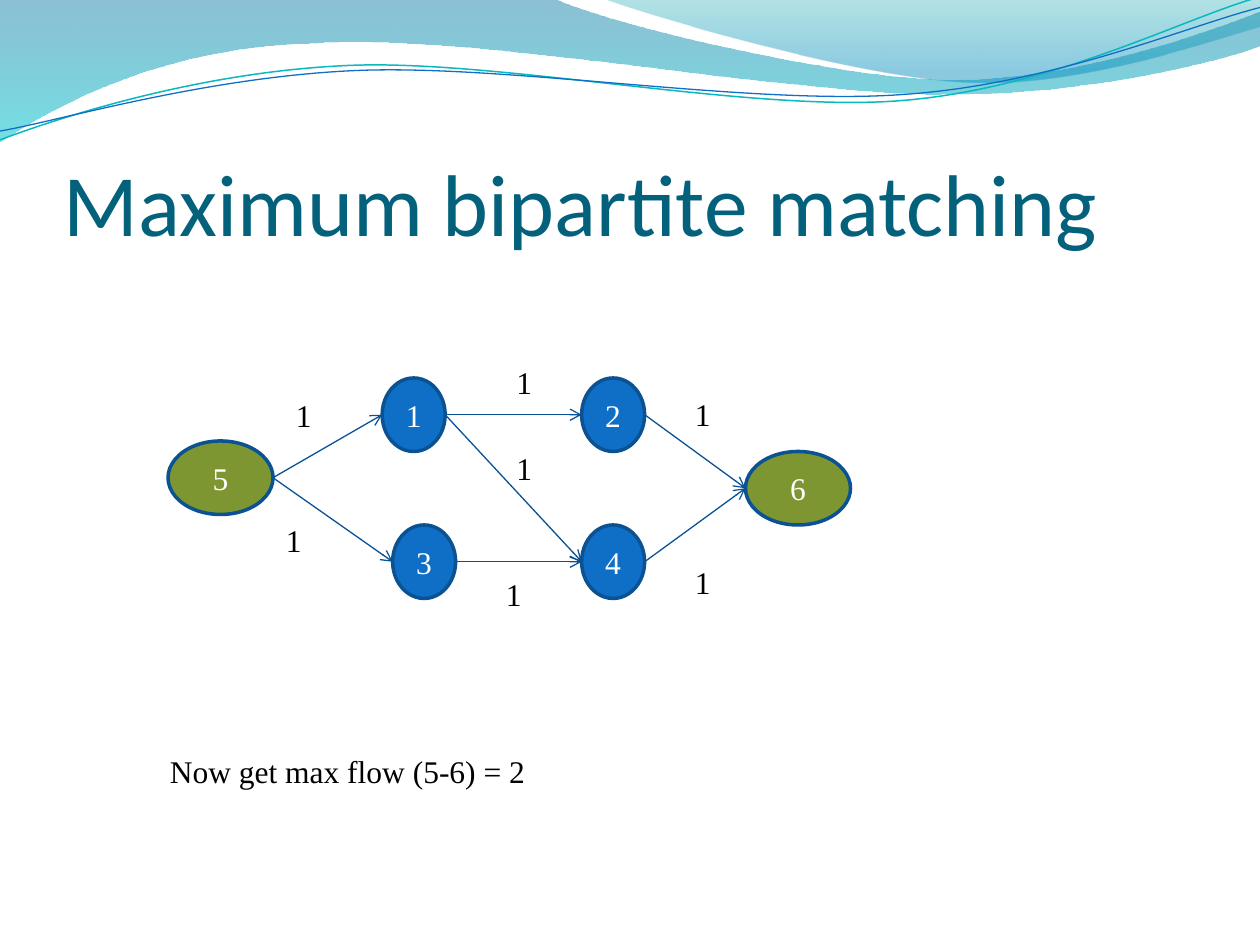
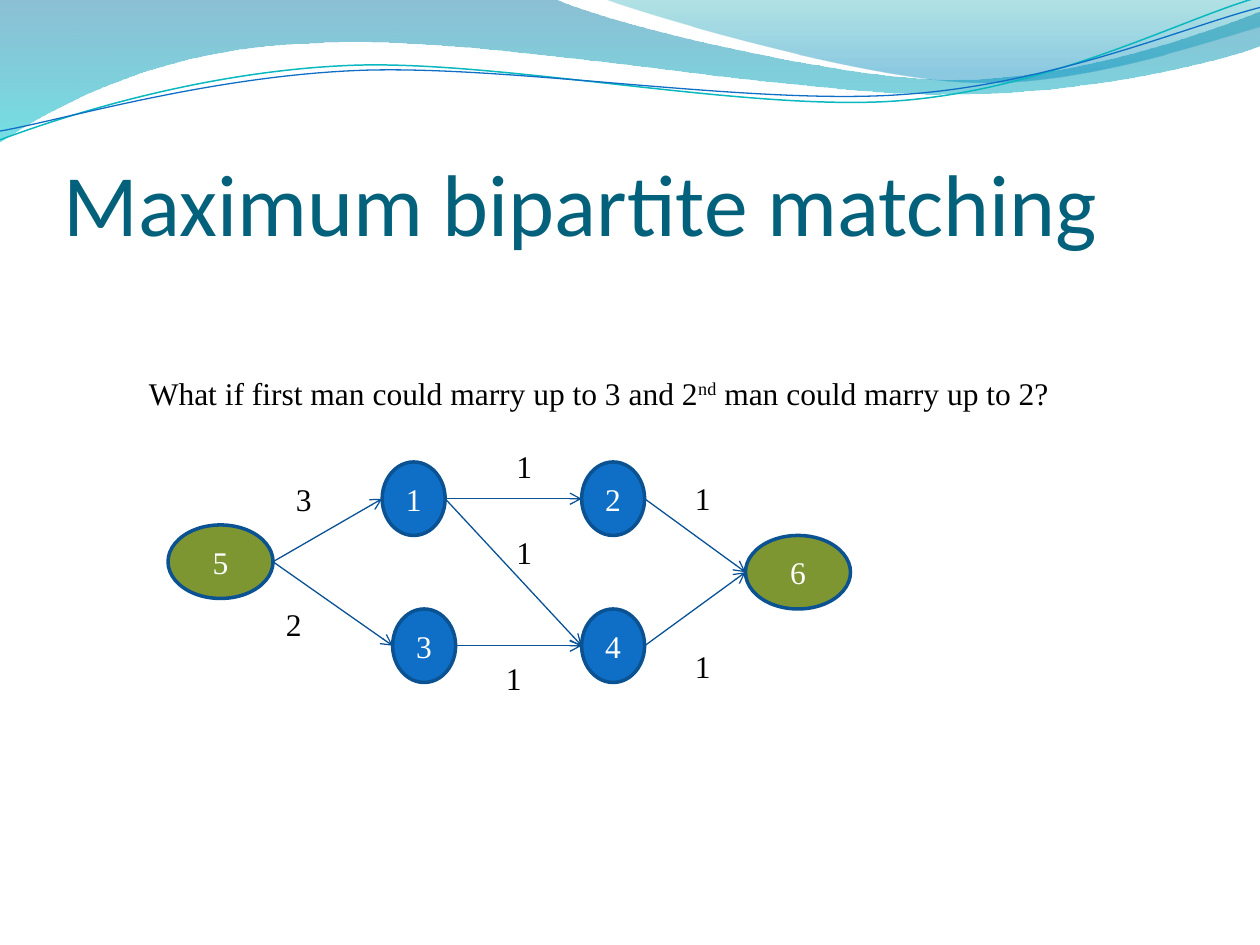
"""Build two slides on maximum bipartite matching as a flow network."""
from dataclasses import dataclass
from math import cos, radians, sin

from lxml import etree
from pptx import Presentation
from pptx.dml.color import RGBColor
from pptx.enum.shapes import MSO_CONNECTOR, MSO_SHAPE
from pptx.enum.text import MSO_ANCHOR, MSO_AUTO_SIZE, PP_ALIGN
from pptx.oxml.ns import qn
from pptx.util import Pt

ELLIPSE = MSO_SHAPE.OVAL
STRAIGHT = MSO_CONNECTOR.STRAIGHT
LEFT, CENTER = PP_ALIGN.LEFT, PP_ALIGN.CENTER
TOP, MIDDLE, BOTTOM = MSO_ANCHOR.TOP, MSO_ANCHOR.MIDDLE, MSO_ANCHOR.BOTTOM
FIT_SHAPE = MSO_AUTO_SIZE.SHAPE_TO_FIT_TEXT

TITLE = "Maximum bipartite matching"
PAGES = [
    {
        "graph_top": 216,
        "capacities": {"5-1": "1", "5-3": "1"},
        "sentence": [("Now get max flow (5-6) = 2", False)],
        "sentence_at": (90, 426, 219.6, 28.8),
    },
    {
        "graph_top": 264,
        "capacities": {"5-1": "3", "5-3": "2"},
        "sentence": [
            ("What if first man could marry up to 3 and 2", False),
            ("nd", True),
            (" man could marry up to 2?", False),
        ],
        "sentence_at": (78, 210, 535.7, 28.8),
    },
]

# Positions in the graph are measured from its top edge.
NODES = {
    "1": (218.4, 0), "2": (332.4, 0),
    "3": (224.4, 84), "4": (332.4, 84),
    "5": (96, 36), "6": (426, 42),
}
TERMINALS = ("5", "6")
NODE_HEIGHT, NODE_WIDTH, TERMINAL_WIDTH = 42, 36, 60
LABEL_WIDTH, LABEL_HEIGHT = 23.8, 28.8
EDGE_LABELS = {
    "1-2": (288, -12), "3-4": (282, 108.8), "1-4": (288, 36.9),
    "5-1": (162, 6.9), "5-3": (156.3, 78),
    "2-6": (390, 6), "4-6": (390, 102),
}


@dataclass(frozen=True)
class Theme:
    heading_font: str = "Calibri"
    body_font: str = "Times New Roman"
    heading_size: float = 50
    body_size: float = 18
    heading: str = "04617B"
    body: str = "000000"
    on_node: str = "FFFFFF"
    node: str = "0F6FC6"
    terminal: str = "7E9632"
    node_outline: str = "0B5292"
    edge: str = "095295"
    aqua_line: str = "0AB8BF"
    blue_line: str = "0F6FC6"
    left_wave: tuple = ((0, "0074A1", 45), (1, "00C6CF", 55))
    right_wave: tuple = ((0, "00A1A9", 30), (0.8, "008BBF", 45))


THEME = Theme()

# Each step holds one end point, or two control points and an end point.
FILLED_WAVES = [
    (THEME.left_wave, [(0, 0)], [
        [(316.8, -0.7)],
        [(342.7, 12.2), (478.1, 45.4), (545.8, 45.4)],
        [(614.2, 45.4), (689.8, 18.7), (720, 6.5)],
        [(720.7, 25.9)],
        [(707.8, 31.7), (626.4, 54.7), (537.1, 54)],
        [(447.8, 54), (275, 20.2), (185, 24.5)],
        [(92.9, 25.9), (33.1, 59.8), (-0.7, 81.4)],
        [(0, 0)],
    ]),
    (THEME.right_wave, [(344.9, -0.7)], [
        [(366.5, 7.9), (491, 44.6), (553.7, 46.8)],
        [(616.3, 49.7), (691.9, 23), (720, 15.1)],
        [(720, 0)],
        [(344.9, -0.7)],
    ]),
]
LINE_WAVES = [
    (THEME.aqua_line, 0.85, (359.3, 41.4), [(0, 79.9)], [
        [(34.6, 67), (113.8, 41), (199.4, 37.4)],
        [(284.4, 33.8), (427, 64.1), (513.4, 57.6)],
        [(599.8, 51.1), (675.4, 10.8), (718.6, -1.4)],
    ]),
    (THEME.blue_line, 0.75, (359.6, 42.5), [(0, 74.9)], [
        [(33.8, 69.1), (118.1, 43.9), (203.8, 40.3)],
        [(290.2, 36.7), (429.8, 60.5), (516.2, 54)],
        [(601.9, 48.2), (677.5, 15.1), (720, 4.3)],
    ]),
]
LINE_TILT = 2.7


def color(code):
    return RGBColor.from_string(code)


def points(*values):
    return [Pt(value) for value in values]


def write_text(frame, text, *, size=THEME.body_size, font=THEME.body_font,
               ink=THEME.body, align=LEFT, anchor=TOP, wrap=False):
    frame.word_wrap = wrap
    frame.vertical_anchor = anchor
    para = frame.paragraphs[0]
    para.alignment = align
    spans = [(text, False)] if isinstance(text, str) else text
    for words, raised in spans:
        span = para.add_run()
        span.text = words
        span.font.name = font
        span.font.size = Pt(size)
        span.font.color.rgb = color(ink)
        if raised:
            span.font._element.set("baseline", "30000")


def add_text(page, area, text):
    box = page.shapes.add_textbox(*points(*area))
    write_text(box.text_frame, text)
    box.text_frame.auto_size = FIT_SHAPE


def level(spots, center):
    across, down = cos(radians(LINE_TILT)), sin(radians(LINE_TILT))
    offsets = [(x - center[0], y - center[1]) for x, y in spots]
    return [(center[0] + x * across - y * down, center[1] + x * down + y * across)
            for x, y in offsets]


def add_wave(page, start, steps, closed):
    builder = page.shapes.build_freeform(*points(*start[0]))
    builder.add_line_segments(
        [points(*spot) for step in steps for spot in step], close=closed)
    wave = builder.convert_to_shape()
    wave.shadow.inherit = False
    segments = iter(list(wave._element.iter(qn("a:lnTo"))))
    for step in steps:
        first, *others = [next(segments) for _ in step]
        if others:
            curve = etree.Element(qn("a:cubicBezTo"))
            first.addprevious(curve)
            for segment in (first, *others):
                curve.append(segment[0])
                segment.getparent().remove(segment)
    return wave


def add_waves(page):
    for stops, start, steps in FILLED_WAVES:
        wave = add_wave(page, start, steps, True)
        wave.line.fill.background()
        wave.fill.gradient()
        wave.fill.gradient_angle = 270
        for stop, (position, code, _) in zip(wave.fill.gradient_stops, stops):
            stop.position = position
            stop.color.rgb = color(code)
        tints = wave._element.spPr.iter(qn("a:srgbClr"))
        for tint, (_, _, opacity) in zip(tints, stops):
            etree.SubElement(tint, qn("a:alpha")).set("val", str(opacity * 1000))
    for code, width, center, start, steps in LINE_WAVES:
        leveled = [level(step, center) for step in steps]
        wave = add_wave(page, level(start, center), leveled, False)
        wave.rotation = 360 - LINE_TILT
        wave.fill.background()
        wave.line.color.rgb = color(code)
        wave.line.width = Pt(width)


def add_title(page):
    box = page.shapes.add_textbox(*points(36.3, 55, 648, 90))
    frame = box.text_frame
    frame.margin_left = frame.margin_right = frame.margin_bottom = 0
    write_text(frame, TITLE, size=THEME.heading_size, font=THEME.heading_font,
               ink=THEME.heading, anchor=BOTTOM, wrap=True)


def node_width(name):
    return TERMINAL_WIDTH if name in TERMINALS else NODE_WIDTH


def add_node(page, name, graph_top):
    left, top = NODES[name]
    node = page.shapes.add_shape(
        ELLIPSE, *points(left, graph_top + top, node_width(name), NODE_HEIGHT))
    node.shadow.inherit = False
    node.fill.solid()
    node.fill.fore_color.rgb = color(THEME.terminal if name in TERMINALS else THEME.node)
    node.line.color.rgb = color(THEME.node_outline)
    node.line.width = Pt(2)
    write_text(node.text_frame, name, ink=THEME.on_node, align=CENTER,
               anchor=MIDDLE, wrap=True)


def add_edge(page, source, target, graph_top):
    source_left, source_top = NODES[source]
    target_left, target_top = NODES[target]
    middle = graph_top + NODE_HEIGHT / 2
    edge = page.shapes.add_connector(STRAIGHT, *points(
        source_left + node_width(source), middle + source_top,
        target_left, middle + target_top))
    edge.line.color.rgb = color(THEME.edge)
    edge.line.width = Pt(0.75)
    outline = edge.line._get_or_add_ln()
    etree.SubElement(outline, qn("a:tailEnd")).set("type", "arrow")
    etree.SubElement(edge._element.spPr, qn("a:effectLst"))


def add_graph(page, graph_top, capacities):
    for name in NODES:
        add_node(page, name, graph_top)
    for edge, (left, top) in EDGE_LABELS.items():
        add_edge(page, *edge.split("-"), graph_top)
        add_text(page, (left, graph_top + top, LABEL_WIDTH, LABEL_HEIGHT),
                 capacities.get(edge, "1"))


def main():
    deck = Presentation()
    deck.slide_width, deck.slide_height = points(720, 540)
    for content in PAGES:
        page = deck.slides.add_slide(deck.slide_layouts[6])
        add_waves(page)
        add_title(page)
        add_graph(page, content["graph_top"], content["capacities"])
        add_text(page, content["sentence_at"], content["sentence"])
    deck.save("out.pptx")


if __name__ == "__main__":
    main()
